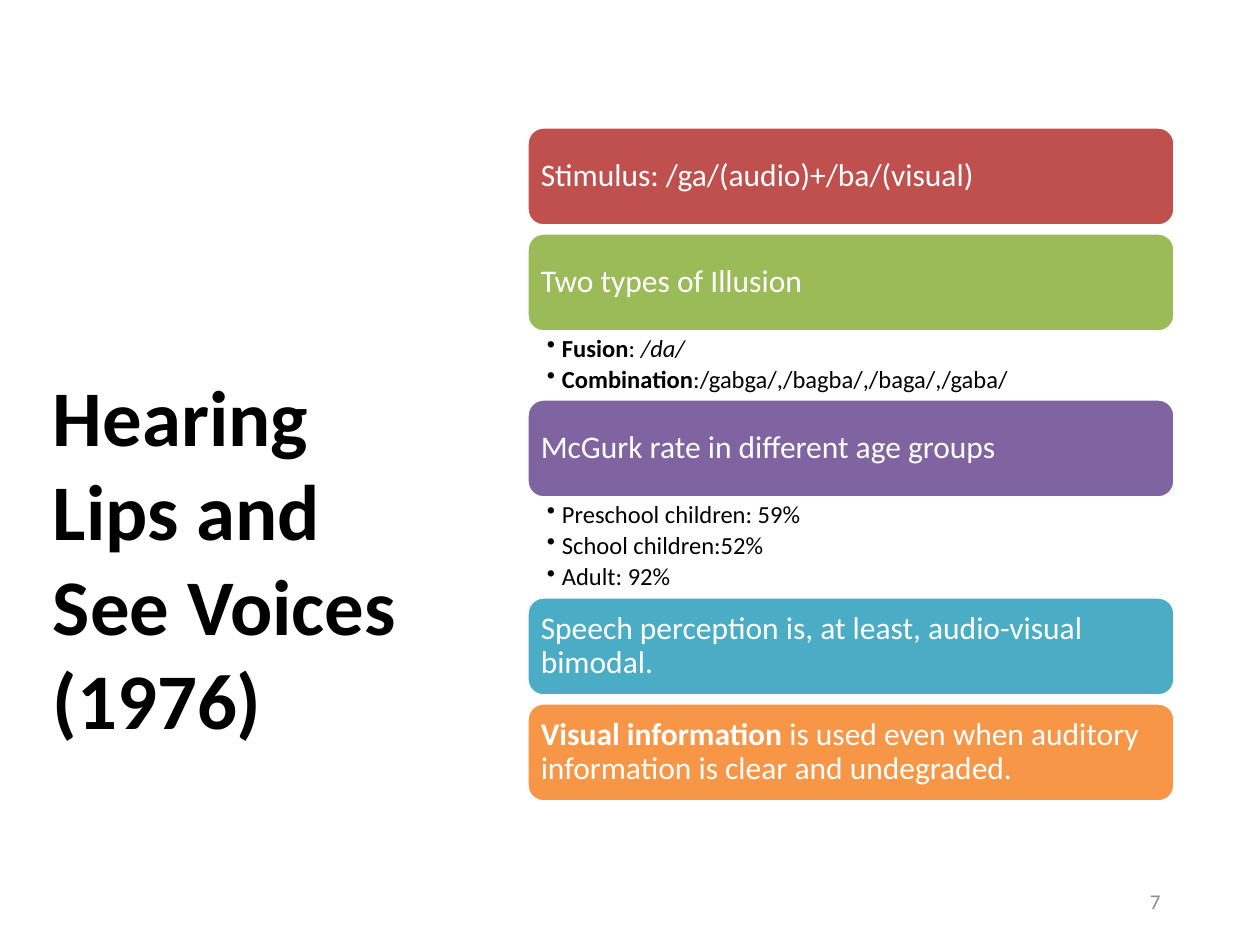
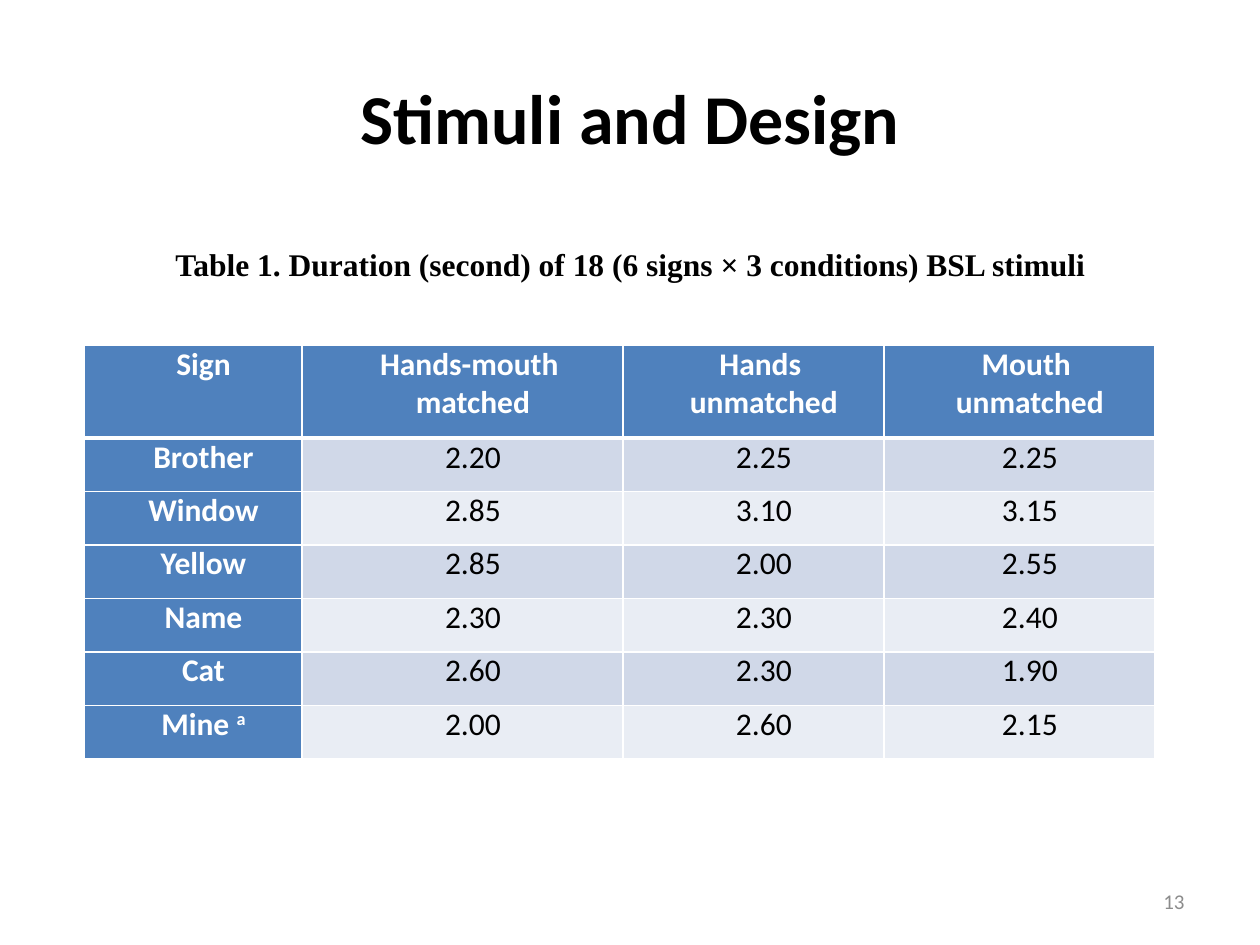
from dataclasses import dataclass

from lxml.etree import SubElement
from pptx import Presentation
from pptx.dml.color import RGBColor
from pptx.enum.shapes import MSO_SHAPE as Shape
from pptx.enum.text import MSO_ANCHOR as Anchor, PP_ALIGN as Align
from pptx.oxml import parse_xml
from pptx.oxml.ns import nsdecls, qn
from pptx.util import Emu, Pt

PIXEL = 914400 // 126


@dataclass(frozen=True)
class Theme:
    sans: str = "Calibri"
    serif: str = "Times New Roman"
    black: str = "000000"
    white: str = "FFFFFF"
    grey: str = "8C8C8C"
    red: str = "C0504D"
    green: str = "9BBB59"
    purple: str = "8064A2"
    teal: str = "4BACC6"
    orange: str = "F79646"
    header: str = "4F81BD"
    stripes: tuple = ("D0D8E8", "E9EDF4")
    side_title: int = 45
    top_title: int = 40
    body: int = 18
    detail: int = 14
    footer: int = 12


theme = Theme()

CARDS = [
    (theme.red, [("Stimulus: /ga/(audio)+/ba/(visual)", "")], []),
    (theme.green, [("Two types of Illusion", "")], [
        [("Fusion", "bold"), (": ", ""), ("/da/", "italic")],
        [("Combination", "bold"), (":/gabga/,/bagba/,/baga/,/gaba/", "")],
    ]),
    (theme.purple, [("McGurk rate in different age groups", "")], [
        [("Preschool children: 59%", "")],
        [("School children:52%", "")],
        [("Adult: 92%", "")],
    ]),
    (theme.teal, [("Speech perception is, at least, audio-visual bimodal.", "")], []),
    (theme.orange, [
        ("Visual information", "bold"),
        (" is used even when auditory information is clear and undegraded.", ""),
    ], []),
]
DETAIL_HEIGHTS = {0: 7, 2: 67, 3: 99}

CAPTION = "Table 1. Duration (second) of 18 (6 signs × 3 conditions) BSL stimuli"
HEADINGS = [["Sign"], ["Hands-mouth ", "matched"], ["Hands ", "unmatched"], ["Mouth ", "unmatched"]]
DURATIONS = [
    ([("Brother", "")], "2.20", "2.25", "2.25"),
    ([("Window", "")], "2.85", "3.10", "3.15"),
    ([("Yellow", "")], "2.85", "2.00", "2.55"),
    ([("Name", "")], "2.30", "2.30", "2.40"),
    ([("Cat", "")], "2.60", "2.30", "1.90"),
    ([("Mine ", ""), ("a", "super")], "2.00", "2.60", "2.15"),
]
COLUMN_WIDTHS = [218, 321, 261, 271]
HEADER_HEIGHT, TABLE_HEIGHT = 93, 414


def px(length):
    return Emu(round(length * PIXEL))


def rgb(value):
    return RGBColor.from_string(value)


def set_margins(target, left, top, right, bottom):
    target.margin_left, target.margin_top = px(left), px(top)
    target.margin_right, target.margin_bottom = px(right), px(bottom)


def set_indent(para, left, first):
    properties = para._p.get_or_add_pPr()
    properties.set("marL", str(px(left)))
    properties.set("indent", str(px(first)))
    return properties


def write(frame, lines, size, color, bold=False, align=Align.LEFT, font=theme.sans):
    frame.word_wrap = True
    for index, line in enumerate(lines):
        para = frame.add_paragraph() if index else frame.paragraphs[0]
        para.alignment = align
        para.font.name, para.font.size = font, Pt(size)
        para.font.bold, para.font.color.rgb = bold, rgb(color)
        for text, style in line:
            span = para.add_run()
            span.text = text
            if style == "bold":
                span.font.bold = True
            elif style == "italic":
                span.font.italic = True
            elif style == "super":
                span._r.get_or_add_rPr().set("baseline", "30000")
    return frame.paragraphs


def add_text(page, place, lines, size, color, anchor=Anchor.MIDDLE, **style):
    box = page.shapes.add_textbox(*map(px, place))
    box.text_frame.vertical_anchor = anchor
    write(box.text_frame, lines, size, color, **style)
    return box.text_frame


def add_title(page, place, text, size, align):
    return add_text(page, place, [[(text, "")]], size, theme.black, bold=True, align=align)


def add_number(page, right, number):
    add_text(page, (right - 290, 876, 290, 50), [[(number, "")]],
             theme.footer, theme.grey, align=Align.RIGHT)


def add_card(page, place, color, line):
    card = page.shapes.add_shape(Shape.ROUNDED_RECTANGLE, *map(px, place))
    card.shadow.inherit = False
    card.fill.solid()
    card.fill.fore_color.rgb = rgb(color)
    card.line.color.rgb, card.line.width = rgb(theme.white), Pt(2)
    card.text_frame.vertical_anchor = Anchor.MIDDLE
    set_margins(card.text_frame, 9, 9, 9, 9)
    for para in write(card.text_frame, [line], theme.body, theme.white):
        para.line_spacing = 0.9


def add_details(page, place, lines):
    frame = add_text(page, place, lines, theme.detail, theme.black, Anchor.TOP)
    set_margins(frame, 20, 4, 18, 4)
    for para in frame.paragraphs:
        para.line_spacing, para.space_after = 0.9, Pt(2.8)
        bullet = parse_xml(f'<a:buChar {nsdecls("a")} char="•"/>')
        set_indent(para, 15, -15).insert_element_before(bullet, "a:tabLst", "a:defRPr", "a:extLst")


def set_borders(cell, row):
    thick_side = {0: "lnB", 1: "lnT"}.get(row)
    properties = cell._tc.get_or_add_tcPr()
    for side in ("lnL", "lnR", "lnT", "lnB"):
        width = Pt(3 if side == thick_side else 1)
        border = SubElement(properties, qn(f"a:{side}"), w=str(width))
        fill = SubElement(border, qn("a:solidFill"))
        SubElement(fill, qn("a:srgbClr"), val=theme.white)


def fill_cell(cell, row, column, lines):
    heading = row == 0 or column == 0
    set_borders(cell, row)
    cell.fill.solid()
    cell.fill.fore_color.rgb = rgb(theme.header if heading else theme.stripes[(row - 1) % 2])
    set_margins(cell, 9, 0, 9, 0)
    color = theme.white if heading else theme.black
    for para in write(cell.text_frame, lines, theme.body, color, heading, Align.CENTER):
        para.line_spacing = Pt(22)
        set_indent(para, 0, 21)


def add_durations(page, left, top):
    rows = [[[[(line, "")] for line in heading] for heading in HEADINGS]]
    rows += [[[sign]] + [[[(value, "")]] for value in values] for sign, *values in DURATIONS]
    frame = page.shapes.add_table(len(rows), len(COLUMN_WIDTHS), px(left), px(top),
                                  px(sum(COLUMN_WIDTHS)), px(TABLE_HEIGHT))
    table = frame.table
    table.horz_banding = False
    for column, width in zip(table.columns, COLUMN_WIDTHS):
        column.width = px(width)
    body_height = (TABLE_HEIGHT - HEADER_HEIGHT) / len(DURATIONS)
    for index, row in enumerate(rows):
        table.rows[index].height = px(body_height if index else HEADER_HEIGHT)
        for column, lines in enumerate(row):
            fill_cell(table.cell(index, column), index, column, lines)


def build_findings(page):
    title = add_title(page, (40, 344, 401, 401), "Hearing Lips and See Voices (1976)",
                      theme.side_title, Align.LEFT)
    set_margins(title, 13, 24, 13, 0)
    add_number(page, 1173, "7")
    left, top, width, height = 527, 127, 648, 99
    for color, line, details in CARDS:
        add_card(page, (left, top, width, height), color, line)
        top += height
        detail_height = DETAIL_HEIGHTS[len(details)]
        if details:
            add_details(page, (left, top, width, detail_height), details)
        top += detail_height


def build_design(page):
    add_title(page, (63, 38, 1134, 157), "Stimuli and Design", theme.top_title, Align.CENTER)
    add_number(page, 1197, "13")
    add_durations(page, 84, 345)
    add_text(page, (149, 239, 963, 50), [[(CAPTION, "")]], theme.body, theme.black,
             Anchor.TOP, bold=True, align=Align.CENTER, font=theme.serif)


deck = Presentation()
deck.slide_width, deck.slide_height = px(1260), px(945)
for build in (build_findings, build_design):
    build(deck.slides.add_slide(deck.slide_layouts[6]))
deck.save("out.pptx")
